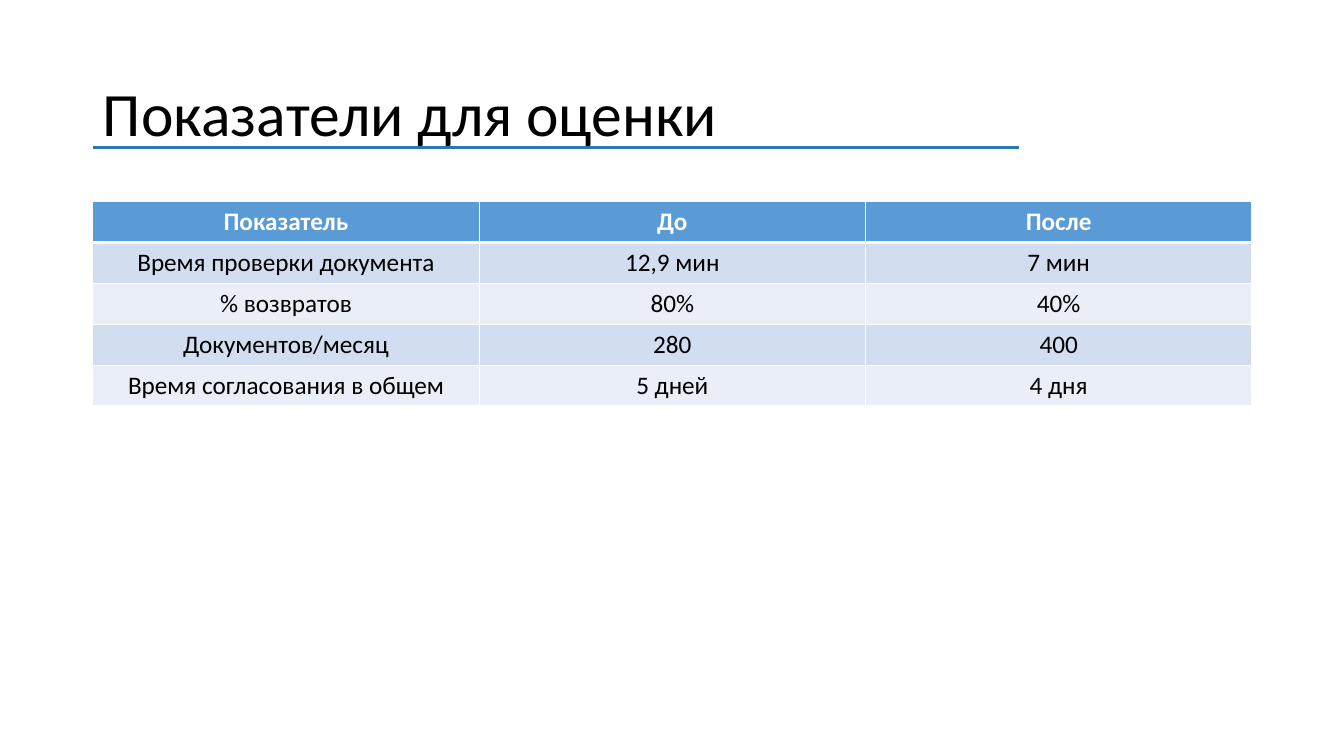
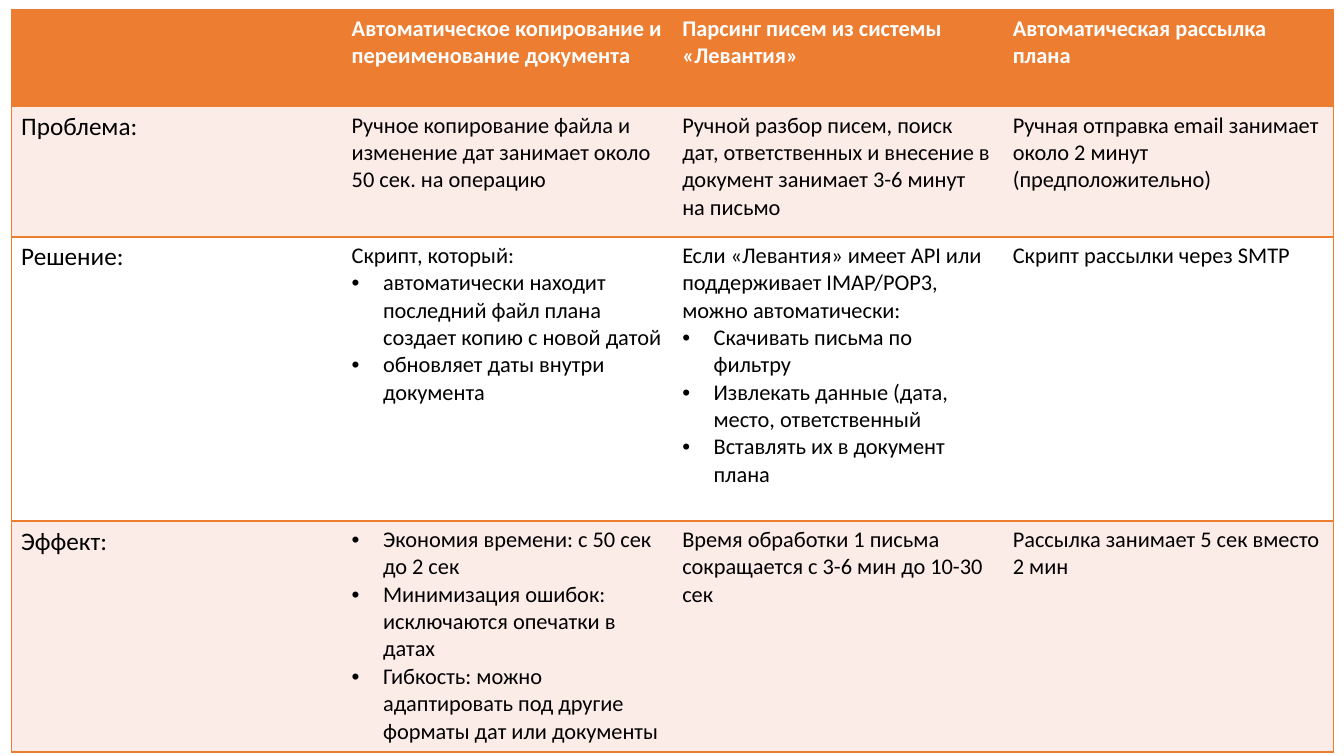
from lxml import etree
from pptx import Presentation
from pptx.dml.color import RGBColor
from pptx.enum import shapes, text
from pptx.oxml import ns
from pptx.util import Cm, Pt

FONT = "Calibri"
BLACK = RGBColor(0x00, 0x00, 0x00)
WHITE = RGBColor(0xFF, 0xFF, 0xFF)
BLUE = RGBColor(0x5B, 0x9B, 0xD5)
DARK_BLUE = RGBColor(0x2E, 0x75, 0xB6)
BLUE_BANDS = (RGBColor(0xD2, 0xDE, 0xEF), RGBColor(0xEA, 0xEF, 0xF7))
ORANGE = RGBColor(0xED, 0x7D, 0x31)
ORANGE_BANDS = (RGBColor(0xFC, 0xEC, 0xE8), WHITE)

BULLET = "• "
BULLET_INDENT = Cm(0.79)
MARGIN = Cm(2.34)
CONTENT_WIDTH = Cm(29.21)

TITLE = "Показатели для оценки"
METRICS = [
    ("Показатель", "До", "После"),
    ("Время проверки документа", "12,9 мин", "7 мин"),
    ("% возвратов", "80%", "40%"),
    ("Документов/месяц", "280", "400"),
    ("Время согласования в общем", "5 дней", "4 дня"),
]
# A cell is a list of paragraphs; those that start with BULLET become list items.
SOLUTIONS = [
    ([],
     ["Автоматическое копирование и переименование документа"],
     ["Парсинг писем из системы «Левантия»"],
     ["Автоматическая рассылка плана"]),
    (["Проблема:"],
     ["Ручное копирование файла и изменение дат занимает около 50 сек. на операцию"],
     ["Ручной разбор писем, поиск дат, ответственных и внесение в документ "
      "занимает 3-6 минут на письмо"],
     ["Ручная отправка email занимает около 2 минут (предположительно)"]),
    (["Решение:"],
     ["Скрипт, который:",
      "• автоматически находит последний файл плана создает копию с новой датой",
      "• обновляет даты внутри документа"],
     ["Если «Левантия» имеет API или поддерживает IMAP/POP3, можно автоматически:",
      "• Скачивать письма по фильтру",
      "• Извлекать данные (дата, место, ответственный",
      "• Вставлять их в документ плана"],
     ["Скрипт рассылки через SMTP"]),
    (["Эффект:"],
     ["• Экономия времени: с 50 сек до 2 сек",
      "• Минимизация ошибок: исключаются опечатки в датах",
      "• Гибкость: можно адаптировать под другие форматы дат или документы"],
     ["Время обработки 1 письма сокращается с 3-6 мин до 10-30 сек"],
     ["Рассылка занимает 5 сек вместо 2 мин"]),
]
SOLUTION_HEIGHTS = [Cm(2.44), Cm(3.28), Cm(7.16), Cm(5.82)]


def add_element(parent, tag, **attributes):
    values = {name: str(value) for name, value in attributes.items()}
    return etree.SubElement(parent, ns.qn(tag), values)


def add_text(paragraph, content, **font_values):
    run = paragraph.add_run()
    run.text = content
    color = font_values.pop("color")
    for name, value in {"name": FONT, **font_values}.items():
        setattr(run.font, name, value)
    run.font.color.rgb = color


def make_bullet(paragraph):
    properties = paragraph._p.get_or_add_pPr()
    properties.set("marL", str(BULLET_INDENT))
    properties.set("indent", str(-BULLET_INDENT))
    add_element(properties, "a:buFont", typeface="Arial")
    add_element(properties, "a:buChar", char=BULLET.strip())


def set_borders(cell, color, widths):
    """Draw left, right, top and bottom edges; a width of 0 hides the edge."""
    properties = cell._tc.get_or_add_tcPr()
    for side, width in zip("LRTB", widths):
        line = add_element(properties, f"a:ln{side}", w=Pt(width))
        if width:
            fill = add_element(line, "a:solidFill")
            add_element(fill, "a:srgbClr", val=color)
        else:
            add_element(line, "a:noFill")


def fill_cell(cell, paragraphs, alignment, **font_values):
    frame = cell.text_frame
    for index, content in enumerate(paragraphs):
        paragraph = frame.add_paragraph() if index else frame.paragraphs[0]
        paragraph.alignment = alignment
        if content.startswith(BULLET):
            make_bullet(paragraph)
        add_text(paragraph, content.removeprefix(BULLET), **font_values)


def add_banded_table(slide, rows, left, top, width, heights, header_fill, bands,
                     border_color, border_widths, font_size, alignment):
    """font_size and border_widths are functions of the row and column numbers."""
    columns = len(rows[0])
    table = slide.shapes.add_table(
        len(rows), columns, left, top, width, sum(heights)).table
    for row, (contents, height) in enumerate(zip(rows, heights)):
        table.rows[row].height = height
        for column, paragraphs in enumerate(contents):
            cell = table.cell(row, column)
            set_borders(cell, border_color, border_widths(row, column))
            cell.fill.solid()
            cell.fill.fore_color.rgb = bands[(row - 1) % 2] if row else header_fill
            fill_cell(cell, paragraphs, alignment, bold=row == 0,
                      size=Pt(font_size(row, column)),
                      color=BLACK if row else WHITE)


def add_title(slide, content):
    title = slide.shapes.title
    title.left, title.top = MARGIN, Cm(1.09)
    title.width, title.height = CONTENT_WIDTH, Cm(3.68)
    title.text_frame.vertical_anchor = text.MSO_ANCHOR.MIDDLE
    title.text_frame.auto_size = text.MSO_AUTO_SIZE.NONE
    paragraph = title.text_frame.paragraphs[0]
    paragraph.alignment = text.PP_ALIGN.LEFT
    paragraph.line_spacing = 0.9
    add_text(paragraph, content, size=Pt(44), color=BLACK)


def add_title_rule(slide):
    y = Cm(3.71)
    rule = slide.shapes.add_connector(
        shapes.MSO_CONNECTOR.STRAIGHT, MARGIN, y, Cm(25.68), y)
    rule.line.color.rgb = DARK_BLUE
    rule.line.width = Pt(2.25)
    add_element(rule._element.spPr, "a:effectLst")


def add_metrics_slide(presentation):
    slide = presentation.slides.add_slide(presentation.slide_layouts[5])
    add_title(slide, TITLE)
    add_banded_table(
        slide, [[[value] for value in row] for row in METRICS],
        MARGIN, Cm(5.08), CONTENT_WIDTH, [Cm(1.03)] * len(METRICS),
        BLUE, BLUE_BANDS, WHITE,
        border_widths=lambda row, column: (
            1, 1, 3 if row == 1 else 1, 3 if row == 0 else 1),
        font_size=lambda row, column: 18,
        alignment=text.PP_ALIGN.CENTER)
    add_title_rule(slide)


def add_solutions_slide(presentation):
    slide = presentation.slides.add_slide(presentation.slide_layouts[6])
    last_column = len(SOLUTIONS[0]) - 1
    add_banded_table(
        slide, SOLUTIONS, Cm(0.28), Cm(0.25), Cm(33.32), SOLUTION_HEIGHTS,
        ORANGE, ORANGE_BANDS, ORANGE,
        border_widths=lambda row, column: (
            int(column == 0), int(column == last_column), 1, 1),
        font_size=lambda row, column: 16 if row == 0 or column else 18,
        alignment=text.PP_ALIGN.LEFT)


def main():
    presentation = Presentation()
    presentation.slide_width = Cm(33.87)
    presentation.slide_height = Cm(19.05)
    add_metrics_slide(presentation)
    add_solutions_slide(presentation)
    presentation.save("out.pptx")


if __name__ == "__main__":
    main()
